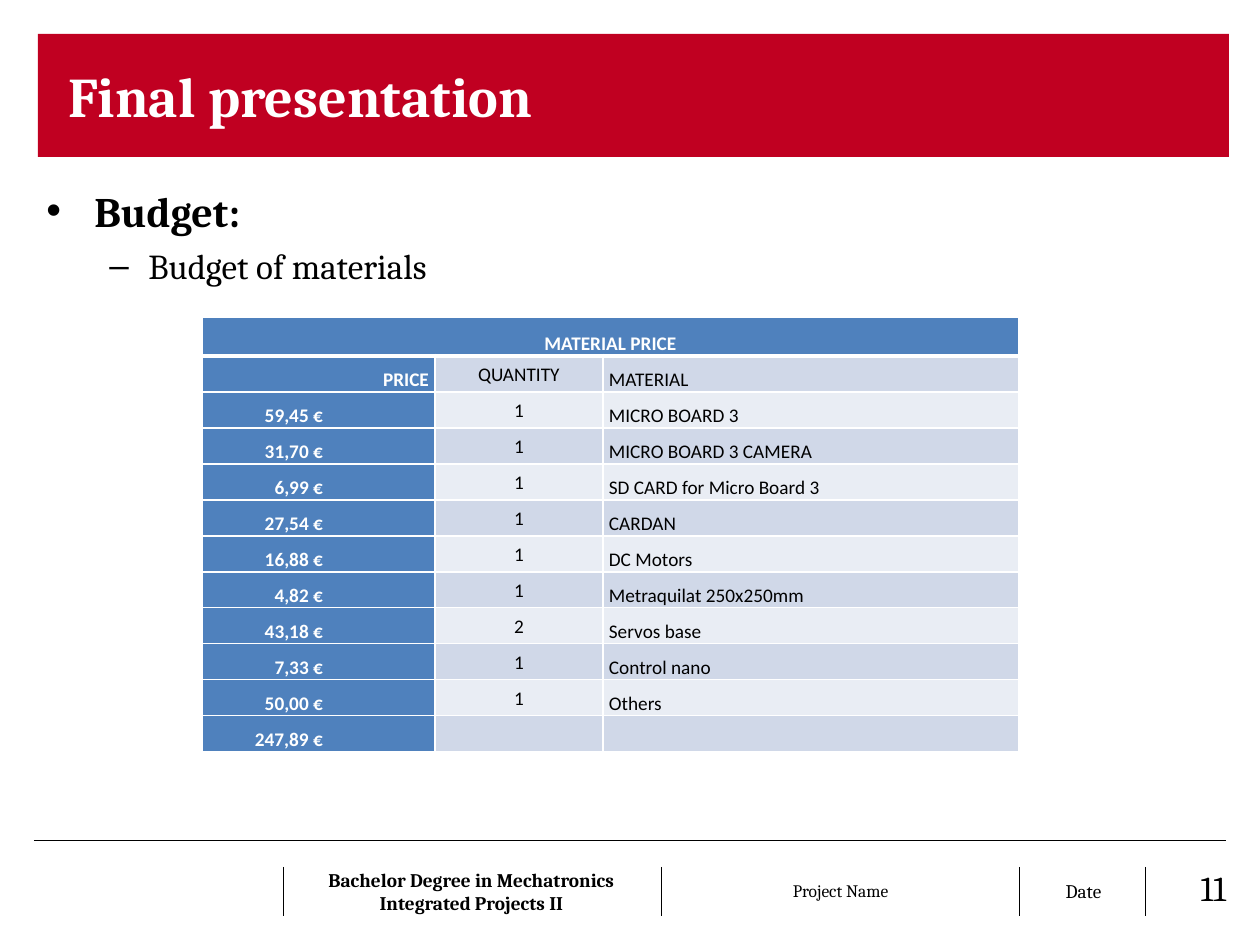
from lxml.etree import SubElement
from pptx import Presentation
from pptx.dml.color import RGBColor
from pptx.enum.shapes import MSO_CONNECTOR, MSO_SHAPE
from pptx.enum.text import MSO_ANCHOR, PP_ALIGN
from pptx.oxml.ns import qn
from pptx.util import Emu, Pt

SCALE = 914400 // 126
COLORS = {"red": "C00021", "blue": "4F81BD", "dark_band": "D0D8E8",
          "light_band": "E9EDF4", "white": "FFFFFF", "black": "000000"}


def px(*values):
    return [Emu(value * SCALE) for value in values]


def write(paragraph, text, size, color="black", bold=False, name="Cambria", **layout):
    for key, value in layout.items():
        setattr(paragraph, key, value)
    run = paragraph.add_run()
    run.text = text
    for key, value in {"name": name, "size": Pt(size), "bold": bold}.items():
        setattr(run.font, key, value)
    run.font.color.rgb = RGBColor.from_string(COLORS[color])


presentation = Presentation()
presentation.slide_width, presentation.slide_height = px(1260, 945)
slide = presentation.slides.add_slide(presentation.slide_layouts[6])

banner = slide.shapes.add_shape(MSO_SHAPE.RECTANGLE, *px(38, 34, 1191, 123))
banner.shadow.inherit = False
banner.fill.solid()
banner.fill.fore_color.rgb = RGBColor.from_string(COLORS["red"])
banner.line.fill.background()
banner.text_frame.margin_left = px(30)[0]
banner.text_frame.vertical_anchor = MSO_ANCHOR.MIDDLE
write(banner.text_frame.paragraphs[0], "Final presentation", 32, "white", True,
      alignment=PP_ALIGN.LEFT)

dividers = [(x, 867, x, 916) for x in (283, 661, 1019, 1145)]
for ends in [(34, 840, 1226, 840)] + dividers:
    line = slide.shapes.add_connector(MSO_CONNECTOR.STRAIGHT, *px(*ends))
    line.line.width = Pt(0.5)
    line.line.color.rgb = RGBColor.from_string(COLORS["black"])
    SubElement(line._element.spPr, qn("a:effectLst"))

footers = [
    ((292, 862, 359, 59), ["Bachelor Degree in Mechatronics", "Integrated Projects II"], 11, True),
    ((673, 874, 335, 34), ["Project Name"], 10, False),
    ((1031, 873, 105, 37), ["Date"], 11, False),
]
for place, lines, size, bold in footers:
    frame = slide.shapes.add_textbox(*px(*place)).text_frame
    frame.word_wrap = True
    for index, text in enumerate(lines):
        paragraph = frame.add_paragraph() if index else frame.paragraphs[0]
        write(paragraph, text, size, bold=bold, alignment=PP_ALIGN.CENTER)

frame = slide.shapes.add_textbox(*px(34, 179, 1191, 151)).text_frame
frame.word_wrap = True
bullets = [("Budget:", 24, True, "•", 48, 48, 0, 0),
           ("Budget of materials", 20, False, "–", 102, 39, 5, 1)]
for text, size, bold, bullet, left, hanging, before, level in bullets:
    paragraph = frame.add_paragraph() if level else frame.paragraphs[0]
    properties = paragraph._p.get_or_add_pPr()
    properties.set("marL", str(left * SCALE))
    properties.set("indent", str(-hanging * SCALE))
    SubElement(properties, qn("a:buFont"), typeface="Arial")
    SubElement(properties, qn("a:buChar"), char=bullet)
    write(paragraph, text, size, bold=bold, level=level,
          alignment=PP_ALIGN.JUSTIFY, space_before=Pt(before))

frame = slide.shapes.add_textbox(*px(1134, 867, 92, 50)).text_frame
frame.word_wrap = True
for side in ("left", "top", "right", "bottom"):
    setattr(frame, f"margin_{side}", 0)
write(frame.paragraphs[0], "11", 20, alignment=PP_ALIGN.RIGHT)

rows = [
    ("MATERIAL PRICE", "", ""),
    ("PRICE", "QUANTITY", "MATERIAL"),
    ("59,45 €", "1", "MICRO BOARD 3"),
    ("31,70 €", "1", "MICRO BOARD 3 CAMERA"),
    ("6,99 €", "1", "SD CARD for Micro Board 3"),
    ("27,54 €", "1", "CARDAN"),
    ("16,88 €", "1", "DC Motors"),
    ("4,82 €", "1", "Metraquilat 250x250mm"),
    ("43,18 €", "2", "Servos base"),
    ("7,33 €", "1", "Control nano"),
    ("50,00 €", "1", "Others"),
    ("247,89 €", "", ""),
]
table = slide.shapes.add_table(len(rows), 3, *px(202, 317, 817, 435)).table
for column, width in zip(table.columns, px(233, 168, 416)):
    column.width = width
alignments = [PP_ALIGN.RIGHT, PP_ALIGN.CENTER, PP_ALIGN.LEFT]
anchors = [MSO_ANCHOR.BOTTOM, MSO_ANCHOR.MIDDLE, MSO_ANCHOR.BOTTOM]
for row_index, values in enumerate(rows):
    table.rows[row_index].height = px(36 if row_index else 39)[0]
    for column_index, text in enumerate(values):
        cell = table.cell(row_index, column_index)
        title = row_index == 0
        heading = title or column_index == 0
        price = row_index > 1 and column_index == 0
        margins = {"margin_left": px(6)[0], "margin_right": px(112 if price else 6)[0],
                   "margin_top": 0, "margin_bottom": 0}
        for key, value in margins.items():
            setattr(cell, key, value)
        cell.vertical_anchor = anchors[0 if title else column_index]
        for side in "LRTB":
            thick = (row_index, side) in ((0, "B"), (1, "T"))
            border = SubElement(cell._tc.get_or_add_tcPr(), qn(f"a:ln{side}"),
                                w=str(Pt(3 if thick else 1)))
            fill = SubElement(border, qn("a:solidFill"))
            SubElement(fill, qn("a:srgbClr"), val=COLORS["white"])
        band = "dark_band" if row_index % 2 else "light_band"
        cell.fill.solid()
        cell.fill.fore_color.rgb = RGBColor.from_string(COLORS["blue" if heading else band])
        paragraph = cell.text_frame.paragraphs[0]
        if text:
            write(paragraph, text, 11, "white" if heading else "black", heading, "Calibri",
                  alignment=PP_ALIGN.CENTER if title else alignments[column_index],
                  line_spacing=1.07, space_after=Pt(8))
        else:
            SubElement(paragraph._p, qn("a:endParaRPr"), sz="1100")
table.cell(0, 0).merge(table.cell(0, 2))

presentation.save("out.pptx")
